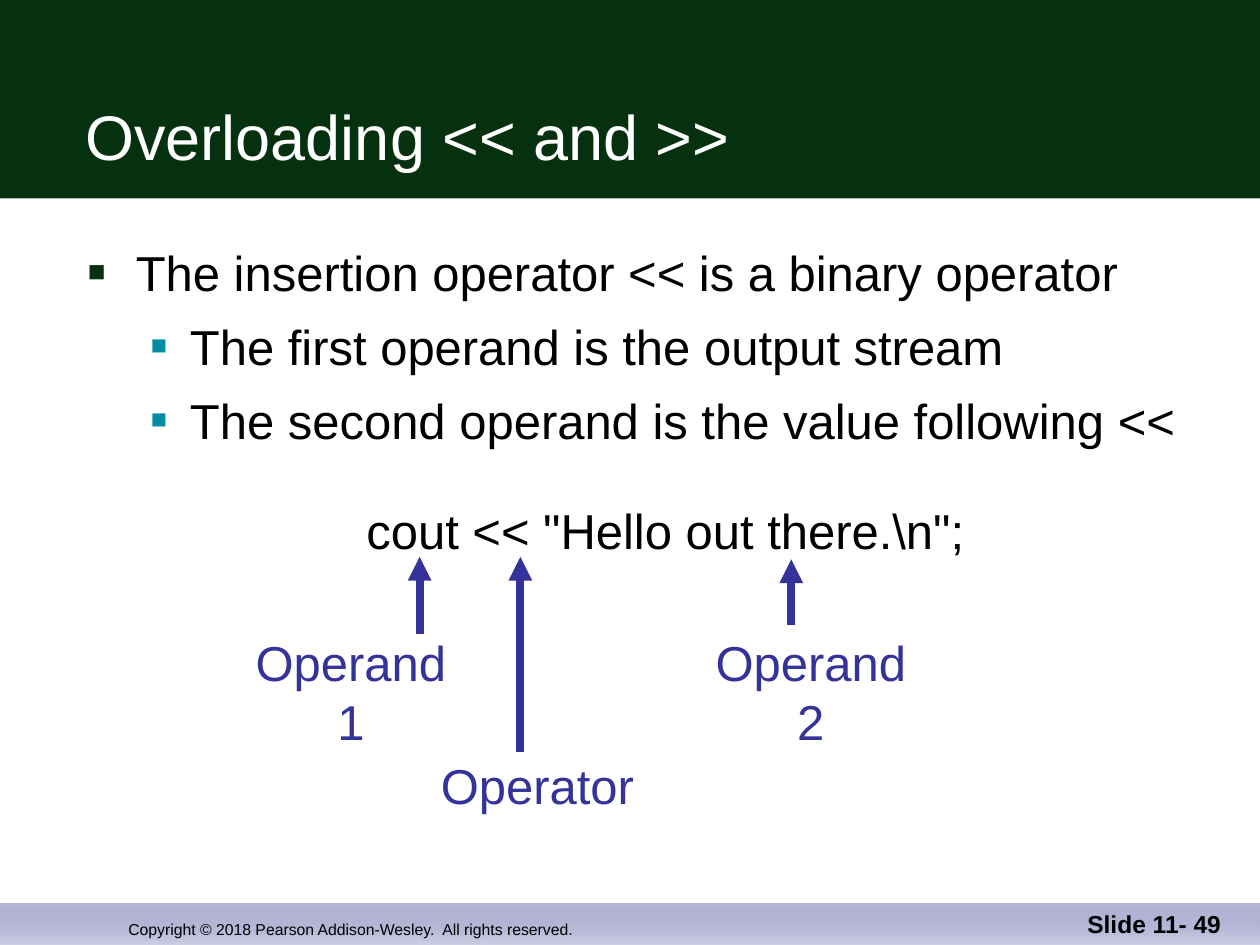
from dataclasses import dataclass

import pptx
import pptx.dml.color
import pptx.enum.shapes
import pptx.enum.text
import pptx.util
from lxml import etree
from pptx.oxml.ns import qn

RGBColor = pptx.dml.color.RGBColor
Align = pptx.enum.text.PP_ALIGN
Anchor = pptx.enum.text.MSO_ANCHOR
Inches = pptx.util.Inches

DARK_GREEN = RGBColor(0x05, 0x31, 0x0F)
TEAL = RGBColor(0x02, 0x8D, 0xA0)
INDIGO = RGBColor(0x33, 0x33, 0x99)
FOOTER_DARK = RGBColor(0x66, 0x69, 0xAA)
FOOTER_LIGHT = RGBColor(0xCC, 0xCD, 0xE3)
BLACK = RGBColor(0, 0, 0)
WHITE = RGBColor(0xFF, 0xFF, 0xFF)

FONT = "Arial"
BODY_SIZE = 28
SLIDE_W, SLIDE_H = 10, 7.5
HEADER_H = SLIDE_H * 0.21
FOOTER_H = 0.33


@dataclass(frozen=True)
class Level:
    indent: float
    hang: float
    color: RGBColor
    percent: int


@dataclass(frozen=True)
class Callout:
    label: str
    left: float
    top: float
    width: float
    arrow_x: float
    arrow_from: float
    arrow_to: float


LEVELS = (Level(0.38, 0.38, DARK_GREEN, 60), Level(0.81, 0.31, TEAL, 55))

BULLETS = (
    (0, "The insertion operator << is a binary operator"),
    (1, "The first operand is the output stream"),
    (1, "The second operand is the value following <<"),
)

CALLOUTS = (
    Callout("Operand 1", 1.77, 4.97, 2.03, 3.33, 5.03, 4.42),
    Callout("Operator", 3.4, 5.95, 1.73, 4.13, 5.97, 4.42),
    Callout("Operand 2", 5.42, 4.97, 2.03, 6.28, 4.96, 4.44),
)


def style_paragraph(paragraph, text: str, *, size: float, color: RGBColor,
                    bold: bool = False, align=Align.LEFT) -> None:
    paragraph.text = text
    paragraph.alignment = align
    font = paragraph.runs[0].font
    font.name, font.size, font.bold = FONT, pptx.util.Pt(size), bold
    font.color.rgb = color


def add_text(slide, text: str, left: float, top: float, width: float,
             height: float, *, size: float = BODY_SIZE, color: RGBColor = BLACK,
             bold: bool = False, align=Align.LEFT, anchor=Anchor.TOP,
             wrap: bool = True):
    box = slide.shapes.add_textbox(*map(Inches, (left, top, width, height)))
    frame = box.text_frame
    frame.word_wrap, frame.vertical_anchor = wrap, anchor
    style_paragraph(frame.paragraphs[0], text, size=size, color=color,
                    bold=bold, align=align)
    return frame


def add_band(slide, top: float, height: float):
    band = slide.shapes.add_shape(
        pptx.enum.shapes.MSO_SHAPE.RECTANGLE,
        *map(Inches, (0, top, SLIDE_W, height)))
    band.shadow.inherit = False
    band.line.fill.background()
    return band


def add_bullet(paragraph, level: Level) -> None:
    props = paragraph._p.get_or_add_pPr()
    props.set("marL", str(Inches(level.indent)))
    props.set("indent", str(-Inches(level.hang)))
    color = etree.SubElement(props, qn("a:buClr"))
    etree.SubElement(color, qn("a:srgbClr"), val=str(level.color))
    etree.SubElement(props, qn("a:buSzPct"), val=str(level.percent * 1000))
    etree.SubElement(props, qn("a:buFont"), typeface=FONT)
    etree.SubElement(props, qn("a:buChar"), char="■")


def add_bullets(slide) -> None:
    frame = add_text(slide, BULLETS[0][1], 0.6, 1.85, 9.07, 1.9)
    frame.margin_right = 0
    for index, (depth, text) in enumerate(BULLETS):
        paragraph = frame.add_paragraph() if index else frame.paragraphs[0]
        add_bullet(paragraph, LEVELS[depth])
        paragraph.level = depth
        paragraph.line_spacing = 1.05
        if index:
            paragraph.space_before = pptx.util.Pt(7)
            style_paragraph(paragraph, text, size=BODY_SIZE, color=BLACK)


def add_callout(slide, callout: Callout) -> None:
    add_text(slide, callout.label, callout.left, callout.top, callout.width,
             0.57, color=INDIGO, align=Align.CENTER, wrap=False)
    x = callout.arrow_x
    arrow = slide.shapes.add_connector(
        pptx.enum.shapes.MSO_CONNECTOR.STRAIGHT,
        *map(Inches, (x, callout.arrow_from, x, callout.arrow_to)))
    arrow.line.color.rgb = INDIGO
    arrow.line.width = pptx.util.Pt(4.5)
    etree.SubElement(arrow.line._get_or_add_ln(), qn("a:tailEnd"), type="triangle")
    etree.SubElement(arrow._element.spPr, qn("a:effectLst"))


def main() -> None:
    deck = pptx.Presentation()
    deck.slide_width, deck.slide_height = Inches(SLIDE_W), Inches(SLIDE_H)
    slide = deck.slides.add_slide(deck.slide_layouts[6])

    # Footer band, fading from a translucent violet
    footer = add_band(slide, SLIDE_H - FOOTER_H, FOOTER_H)
    footer.fill.gradient()
    footer.fill.gradient_angle = 270
    for stop, color in zip(footer.fill.gradient_stops, (FOOTER_DARK, FOOTER_LIGHT)):
        stop.color.rgb = color
    first_color = footer._element.spPr.find(".//" + qn("a:srgbClr"))
    etree.SubElement(first_color, qn("a:alpha"), val="47000")

    # Header band and title
    header = add_band(slide, 0, HEADER_H)
    header.fill.solid()
    header.fill.fore_color.rgb = DARK_GREEN
    add_text(slide, "Overloading << and >>", 0.58, 0.33, 9.08, 1.09,
             size=36, color=WHITE, anchor=Anchor.BOTTOM)

    # Bullets and the code example
    add_bullets(slide)
    add_text(slide, 'cout << "Hello out there.\\n";', 2.81, 3.92, 5.2, 0.57)

    # Labelled parts of the expression
    for callout in CALLOUTS:
        add_callout(slide, callout)

    # Footer texts
    add_text(slide, "Copyright © 2018 Pearson Addison-Wesley.  All rights reserved.",
             0.92, 7, 4.92, 0.5, size=9, anchor=Anchor.BOTTOM)
    add_text(slide, "Slide 11- 49", 7.71, 7, 2.08, 0.5, size=14, bold=True,
             align=Align.RIGHT, anchor=Anchor.BOTTOM)

    deck.save("out.pptx")


if __name__ == "__main__":
    main()
